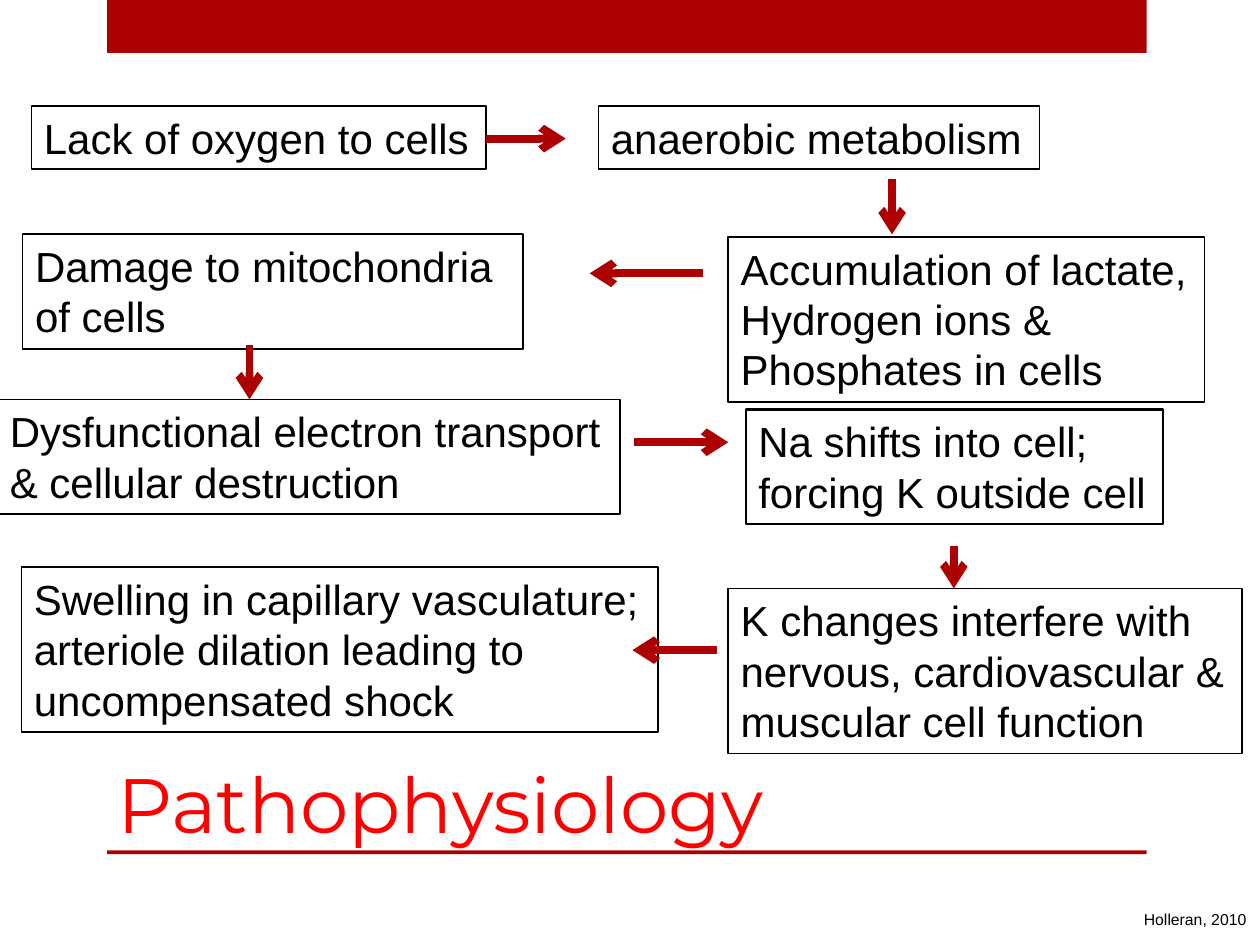
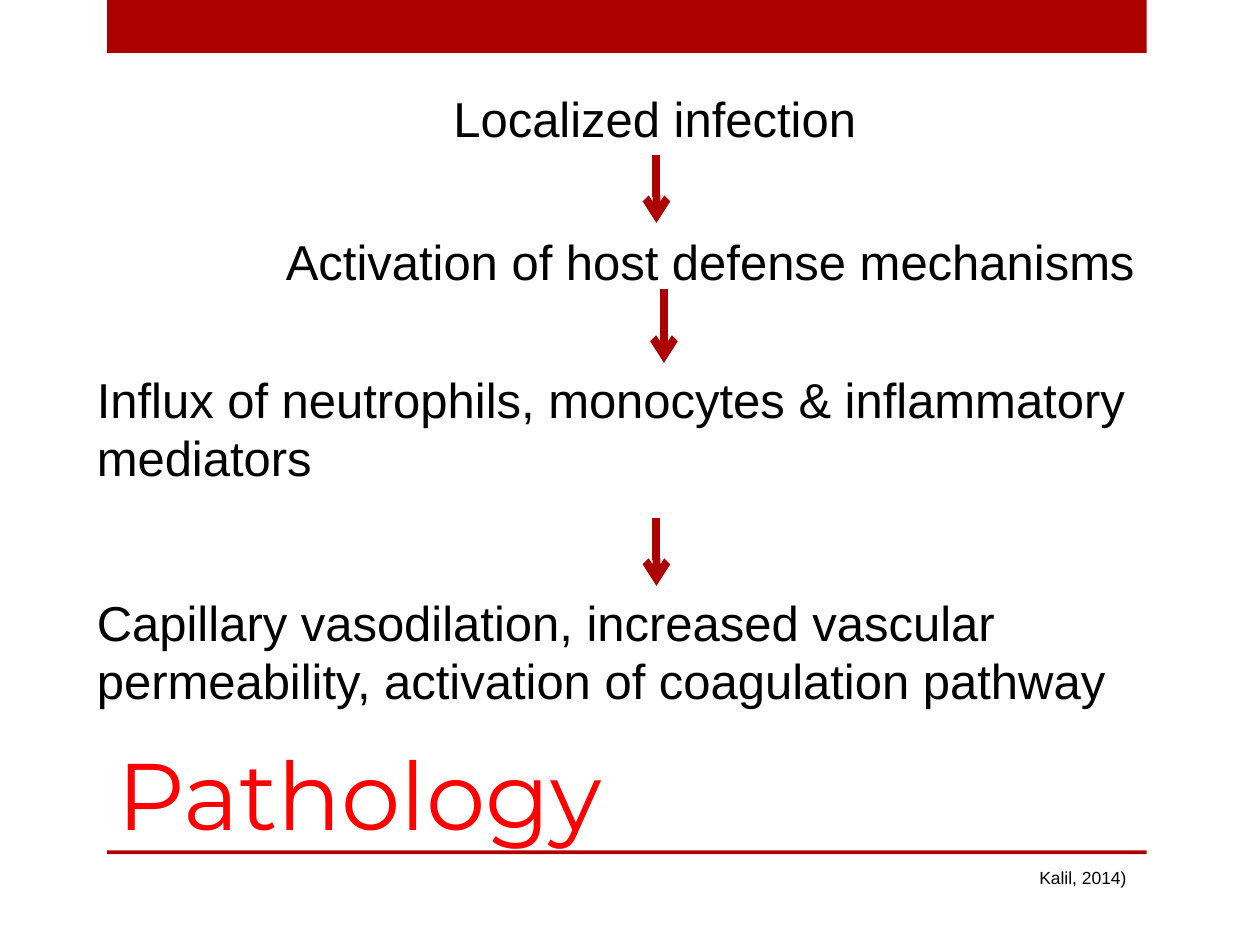
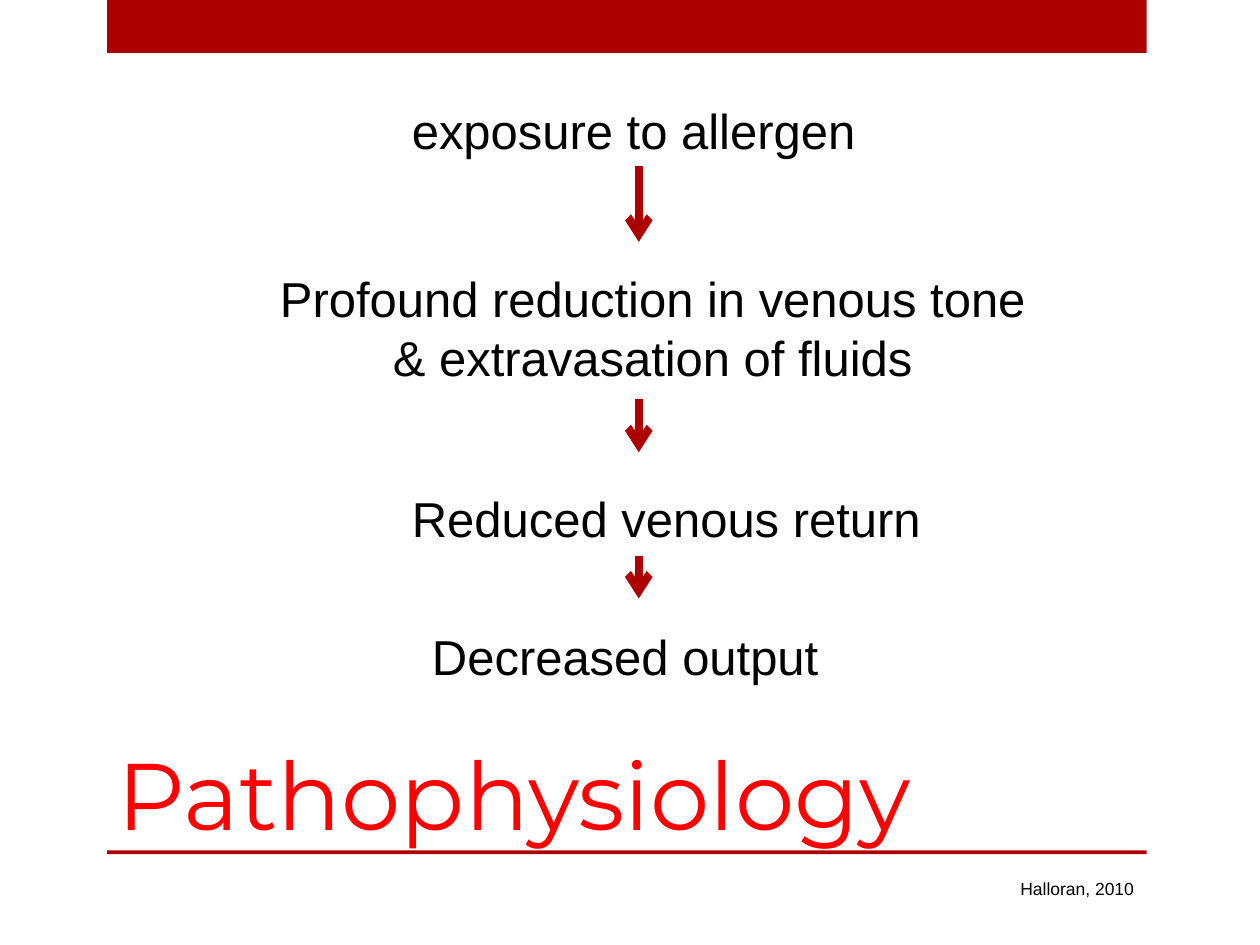
from pptx import Presentation
from pptx import util as u
from pptx.dml.color import RGBColor
from pptx.enum import shapes, text
from pptx.oxml import ns
from lxml import etree

BAND_RED = RGBColor(0xAD, 0x01, 0x01)
TITLE_RED = RGBColor(0xFF, 0x00, 0x00)
BLACK = RGBColor(0x00, 0x00, 0x00)

TITLE_BOX = (0.83, 5, 7.42, 1.75)
BANDS = [(0.85, 0, 8.25, 0.42), (0.85, 6.75, 8.25, 0.03)]
TITLE_FRAME = {
    "word_wrap": True,
    "auto_size": text.MSO_AUTO_SIZE.NONE,
    "vertical_anchor": text.MSO_ANCHOR.BOTTOM,
    "margin_bottom": u.Inches(0.01),
}


def apply_format(target, values):
    for name, value in values.items():
        setattr(target, name, value)


def inches(box):
    return [u.Inches(length) for length in box]


def style_font(font, name, size, color):
    apply_format(font, {"name": name, "size": u.Pt(size)})
    font.color.rgb = color


def move_bands_to_layout(slide, layout):
    for position, box in enumerate(BANDS, start=2):
        band = slide.shapes.add_shape(shapes.MSO_SHAPE.RECTANGLE, *inches(box))
        band.shadow.inherit = False
        band.fill.solid()
        band.fill.fore_color.rgb = BAND_RED
        band.line.fill.background()
        layout.shapes.element.insert(position, band.element)


def add_title(slide, words, size):
    title = slide.shapes.title
    apply_format(title, dict(zip(("left", "top", "width", "height"), inches(TITLE_BOX))))
    apply_format(title.text_frame, TITLE_FRAME)
    title.text_frame.text = words
    paragraph = title.text_frame.paragraphs[0]
    paragraph.alignment = text.PP_ALIGN.LEFT
    style_font(paragraph.runs[0].font, "Montserrat", size, TITLE_RED)


def add_text(slide, box, lines, size, wrap=False, alignment=text.PP_ALIGN.LEFT):
    shape = slide.shapes.add_textbox(*inches(box))
    frame = shape.text_frame
    frame.text = lines
    apply_format(frame, {"word_wrap": wrap,
                         "auto_size": text.MSO_AUTO_SIZE.SHAPE_TO_FIT_TEXT})
    for paragraph in frame.paragraphs:
        paragraph.alignment = alignment
        style_font(paragraph.runs[0].font, "Arial", size, BLACK)
    return shape


def add_outlined_step(slide, box, lines, line_width=1):
    step = add_text(slide, box, lines, 24)
    step.line.color.rgb = BLACK
    step.line.width = u.Pt(line_width)


def add_arrow(slide, left, top, across=0, down=0):
    arrow = slide.shapes.add_connector(
        shapes.MSO_CONNECTOR.STRAIGHT, *inches((left, top, left + across, top + down)))
    arrow.line.color.rgb = BAND_RED
    arrow.line.width = u.Pt(4.5)
    properties = arrow.element.spPr
    etree.SubElement(properties.find(ns.qn("a:ln")), ns.qn("a:tailEnd"), type="arrow")
    etree.SubElement(properties, ns.qn("a:effectLst"))


def build_cell_damage(slide):
    add_title(slide, "Pathophysiology", 44)
    steps = [
        ((0.25, 0.84, 3.61, 0.5), "Lack of oxygen to cells"),
        ((4.75, 0.84, 3.5, 0.5), "anaerobic metabolism"),
        ((5.78, 1.88, 3.78, 1.31),
         "Accumulation of lactate,\nHydrogen ions &\nPhosphates in cells"),
        ((0.18, 1.86, 3.97, 0.91), "Damage to mitochondria\nof cells"),
        ((-0.02, 3.17, 4.94, 0.91),
         "Dysfunctional electron transport\n& cellular destruction"),
        ((5.92, 3.25, 3.31, 0.91), "Na shifts into cell;\nforcing K outside cell", 1.5),
        ((5.78, 4.67, 4.08, 1.31),
         "K changes interfere with\nnervous, cardiovascular &\nmuscular cell function"),
        ((0.17, 4.5, 5.05, 1.31),
         "Swelling in capillary vasculature;\narteriole dilation leading to\n"
         "uncompensated shock"),
    ]
    arrows = [
        (3.86, 1.1, 0.63, 0), (7.08, 1.42, 0, 0.44), (5.58, 2.17, -0.9, 0),
        (1.98, 2.74, 0, 0.43), (5.03, 3.51, 0.75, 0), (7.57, 4.33, 0, 0.34),
        (5.69, 5.16, -0.67, 0),
    ]
    for step in steps:
        add_outlined_step(slide, *step)
    for arrow in arrows:
        add_arrow(slide, *arrow)
    add_text(slide, (8.98, 7.17, 1.02, 0.25), "Holleran, 2010", 9)


def build_cascade(slide, title, steps, arrows, citation_box, citation):
    add_title(slide, title, 54)
    for box, lines, *options in steps:
        add_text(slide, box, lines, 28, *options)
    for left, top, length in arrows:
        add_arrow(slide, left, top, down=length)
    add_text(slide, citation_box, citation, 10)


def build_infection(slide):
    steps = [
        ((3.5, 0.65, 3.44, 0.57), "Localized infection"),
        ((2.17, 1.79, 7.02, 0.57), "Activation of host defense mechanisms"),
        ((0.67, 2.88, 9, 1.04),
         "Influx of neutrophils, monocytes & inflammatory mediators", True),
        ((0.67, 4.65, 9.08, 1.04),
         "Capillary vasodilation, increased vascular permeability, "
         "activation of coagulation pathway", True),
    ]
    arrows = [(5.21, 1.23, 0.54), (5.27, 2.29, 0.59), (5.21, 4.11, 0.54)]
    build_cascade(slide, "Pathology", steps, arrows, (8.15, 6.83, 0.9, 0.27), "Kalil, 2014)")


def build_allergy(slide):
    steps = [
        ((3.17, 0.75, 3.81, 0.57), "exposure to allergen"),
        ((2.08, 2.08, 6.2, 1.51),
         "Profound reduction in venous tone\n& extravasation of fluids",
         False, text.PP_ALIGN.CENTER),
        ((3.17, 3.83, 4.29, 0.57), "Reduced venous return"),
        ((3.33, 4.92, 3.31, 0.57), "Decreased output"),
    ]
    arrows = [(5.07, 1.32, 0.6), (5.07, 3.17, 0.42), (5.07, 4.41, 0.34)]
    build_cascade(slide, "Pathophysiology", steps, arrows,
                  (8, 6.92, 1.11, 0.27), "Halloran, 2010")


def main():
    presentation = Presentation()
    presentation.slide_width = u.Inches(10)
    presentation.slide_height = u.Inches(7.5)
    layout = presentation.slide_layouts[5]
    builders = [build_cell_damage, build_infection, build_allergy]
    slides = [presentation.slides.add_slide(layout) for _ in builders]
    move_bands_to_layout(slides[0], layout)
    for build, slide in zip(builders, slides):
        build(slide)
    presentation.save("out.pptx")


if __name__ == "__main__":
    main()
